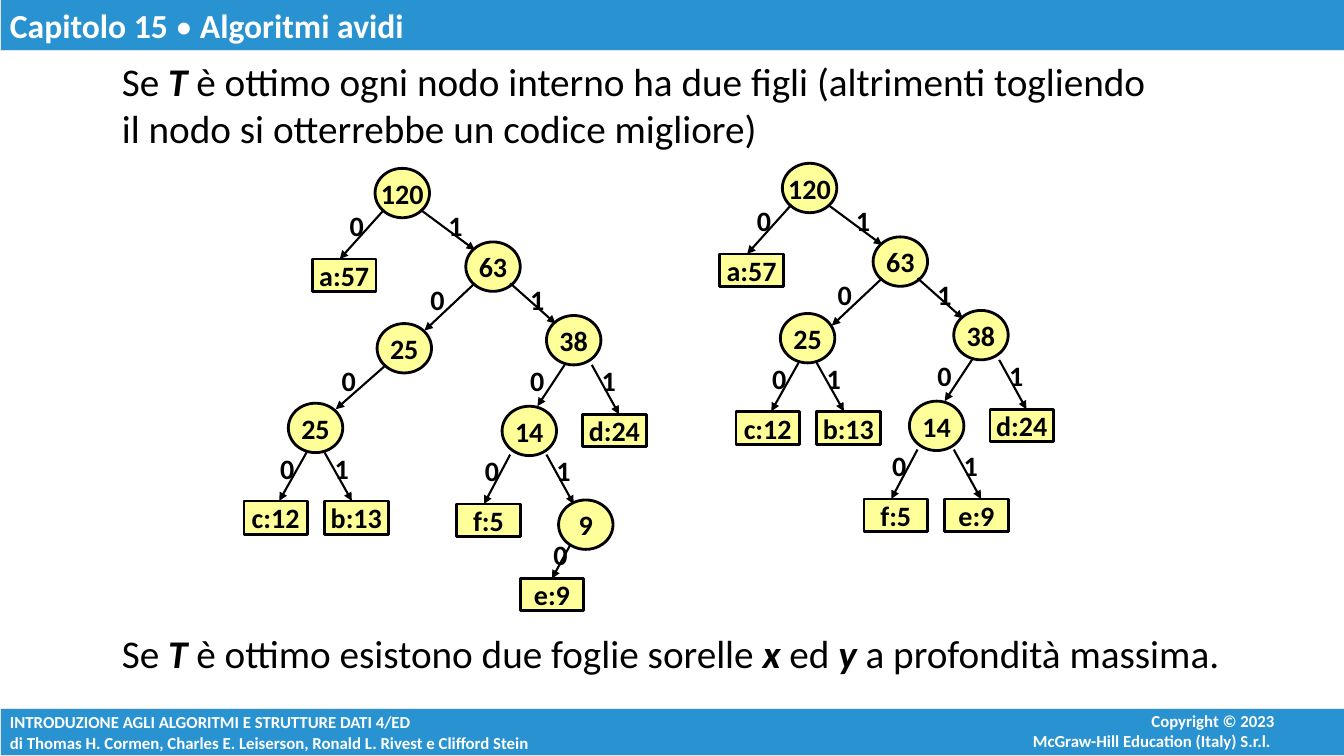
from dataclasses import dataclass

from lxml.etree import SubElement
from pptx import Presentation
from pptx.dml.color import RGBColor
from pptx.enum.shapes import MSO_CONNECTOR as Connector, MSO_SHAPE as Preset
from pptx.enum.text import MSO_ANCHOR as Anchor, PP_ALIGN as Align
from pptx.oxml.ns import qn
from pptx.util import Emu, Pt

PX = 9144  # EMU per px, 100 px to the inch
FONT = "Calibri"
COLORS = {"band": "2993D1", "band_line": "E7E6E6", "node": "FFFF99",
          "ink": "000000", "paper": "FFFFFF"}


@dataclass(frozen=True)
class Run:
    text: str
    bold: bool = False
    italic: bool = False


@dataclass(frozen=True)
class Circle:
    text: str
    x: int
    y: int
    w: int = 54
    h: int = 49


@dataclass(frozen=True)
class Leaf:
    text: str
    x: int
    y: int
    w: int = 63
    h: int = 32


@dataclass(frozen=True)
class Edge:
    bit: str
    x1: int
    y1: int
    x2: int
    y2: int
    bit_x: int
    bit_y: int


Part = Circle | Leaf | Edge


def px(value: int) -> Emu:
    return Emu(value * PX)


def color(name: str) -> RGBColor:
    return RGBColor.from_string(COLORS[name])


def write(frame, paragraphs: list[list[Run]], size: int, ink: str, align=Align.LEFT) -> None:
    """Fill a text frame, with the shared font on each paragraph."""
    for i, runs in enumerate(paragraphs):
        paragraph = frame.paragraphs[0] if i == 0 else frame.add_paragraph()
        paragraph.alignment = align
        font = paragraph.font
        font.name, font.size = FONT, Pt(size)
        font.color.rgb = color(ink)
        same_style = len({(run.bold, run.italic) for run in runs}) == 1
        if same_style:
            font.bold, font.italic = runs[0].bold, runs[0].italic
        for run in runs:
            for line_number, line in enumerate(run.text.split("\n")):
                if line_number:
                    paragraph.add_line_break()
                piece = paragraph.add_run()
                piece.text = line
                if not same_style:
                    piece.font.bold, piece.font.italic = run.bold, run.italic


def add_box(shapes, preset, x: int, y: int, w: int, h: int, fill: str, line: str, weight: float):
    box = shapes.add_shape(preset, px(x), px(y), px(w), px(h))
    box.shadow.inherit = False
    box.fill.solid()
    box.fill.fore_color.rgb = color(fill)
    box.line.color.rgb = color(line)
    box.line.width = Pt(weight)
    return box


def add_text(shapes, x: int, y: int, w: int, h: int, paragraphs: list[list[Run]],
             size: int, ink: str = "ink", align=Align.LEFT, wrap: bool = True) -> None:
    frame = shapes.add_textbox(px(x), px(y), px(w), px(h)).text_frame
    frame.word_wrap = wrap
    write(frame, paragraphs, size, ink, align)


def add_band(shapes, y: int, h: int, runs: list[Run], size: int, anchor, wrap: bool) -> None:
    band = add_box(shapes, Preset.RECTANGLE, 0, y, 1335, h, "band", "band_line", 0.75)
    band.text_frame.vertical_anchor = anchor
    band.text_frame.word_wrap = wrap
    write(band.text_frame, [runs], size, "paper")


def add_node(shapes, node: Circle | Leaf, dx: int, dy: int):
    preset = Preset.OVAL if isinstance(node, Circle) else Preset.RECTANGLE
    box = add_box(shapes, preset, node.x + dx, node.y + dy, node.w, node.h, "node", "ink", 2)
    box.text_frame.vertical_anchor = Anchor.MIDDLE
    box.text_frame.word_wrap = False
    write(box.text_frame, [[Run(node.text, bold=True)]], 20, "ink", Align.CENTER)
    return box


def add_edge(shapes, edge: Edge, dx: int, dy: int):
    arrow = shapes.add_connector(Connector.STRAIGHT, px(edge.x1 + dx), px(edge.y1 + dy),
                                 px(edge.x2 + dx), px(edge.y2 + dy))
    arrow.line.color.rgb = color("ink")
    arrow.line.width = Pt(1.5)
    SubElement(arrow.line._get_or_add_ln(), qn("a:tailEnd"), type="triangle")
    SubElement(arrow._element.spPr, qn("a:effectLst"))
    add_text(shapes, edge.bit_x + dx, edge.bit_y + dy, 34, 44,
             [[Run(edge.bit, bold=True)]], 20, wrap=False)
    return arrow


def add_parts(shapes, parts: list[Part], dx: int = 0, dy: int = 0) -> None:
    leaves = []
    for part in parts:
        if isinstance(part, Edge):
            arrow = add_edge(shapes, part, dx, dy)
            for leaf in leaves:
                if (abs(arrow.end_x - leaf.left - leaf.width // 2) <= px(2)
                        and abs(arrow.end_y - leaf.top) <= px(2)):
                    arrow.end_connect(leaf, 0)
        else:
            node = add_node(shapes, part, dx, dy)
            if isinstance(part, Leaf):
                leaves.append(node)


# Parts that both trees share, placed as in the right tree
TRUNK = [
    Circle("120", 776, 162), Circle("63", 866, 235), Circle("38", 946, 308),
    Circle("14", 902, 398),
    Leaf("a:57", 714, 252), Leaf("d:24", 982, 406), Leaf("f:5", 857, 495),
    Edge("0", 785, 203, 741, 252, 741, 197), Edge("1", 821, 203, 875, 243, 839, 197),
    Edge("0", 875, 276, 825, 323, 821, 270), Edge("1", 910, 276, 955, 316, 920, 270),
    Edge("0", 964, 357, 937, 398, 920, 351), Edge("1", 991, 357, 1018, 406, 991, 351),
    Edge("0", 910, 446, 884, 495, 875, 440), Edge("1", 946, 446, 973, 495, 946, 440),
]
SUBTREE_25 = [
    Circle("25", 774, 311), Leaf("c:12", 730, 408, h=33), Leaf("b:13", 810, 408, h=33),
    Edge("0", 792, 360, 765, 408, 756, 354), Edge("1", 810, 360, 837, 408, 810, 354),
]
# Nodes with a single child, only in the left tree
SINGLE_CHILD = [
    Circle("25", 374, 321), Edge("0", 383, 362, 333, 406, 329, 356),
    Leaf("e:9", 516, 574), Edge("0", 573, 527, 547, 576, 539, 528),
    Circle("9", 554, 496),
]


def main() -> None:
    deck = Presentation()
    deck.slide_width, deck.slide_height = px(1333), px(750)
    shapes = deck.slides.add_slide(deck.slide_layouts[6]).shapes

    # Footer and header
    add_band(shapes, 703, 47, [Run(
        "INTRODUZIONE AGLI ALGORITMI E STRUTTURE DATI 4/ED\n"
        "di Thomas H. Cormen, Charles E. Leiserson, Ronald L. Rivest e Clifford Stein",
        bold=True)], 12, Anchor.MIDDLE, False)
    add_text(shapes, 889, 700, 385, 50,
             [[Run("Copyright © 2023", bold=True)],
              [Run("McGraw-Hill Education (Italy) S.r.l. ", bold=True)]],
             12, "paper", Align.RIGHT)
    add_band(shapes, 0, 50, [Run("Capitolo 15 ", bold=True), Run("•"),
                             Run(" Algoritmi avidi", bold=True)], 24, Anchor.TOP, True)

    # Statement on inner nodes
    tree_name = Run("T", bold=True, italic=True)
    add_text(shapes, 111, 52, 1053, 104, [[
        Run("Se "), tree_name,
        Run(" è ottimo ogni nodo interno ha due figli (altrimenti togliendo "
            "il nodo si otterrebbe un codice migliore)")]], 28)

    # Right tree: every inner node has two children
    full_tree = shapes.add_group_shape().shapes
    add_parts(full_tree, TRUNK + SUBTREE_25 + [Leaf("e:9", 937, 495)])

    # Left tree
    loose_tree = shapes.add_group_shape().shapes
    add_parts(loose_tree, TRUNK, -404, 5)
    add_parts(loose_tree, SUBTREE_25, -488, 89)
    add_parts(loose_tree, SINGLE_CHILD)

    # Statement on sibling leaves
    add_text(shapes, 111, 619, 1199, 57, [[
        Run("Se "), tree_name, Run(" è ottimo esistono due foglie sorelle "),
        Run("x", bold=True, italic=True), Run(" ed "),
        Run("y ", bold=True, italic=True), Run("a profondità massima.")]], 28)

    deck.save("out.pptx")


if __name__ == "__main__":
    main()
